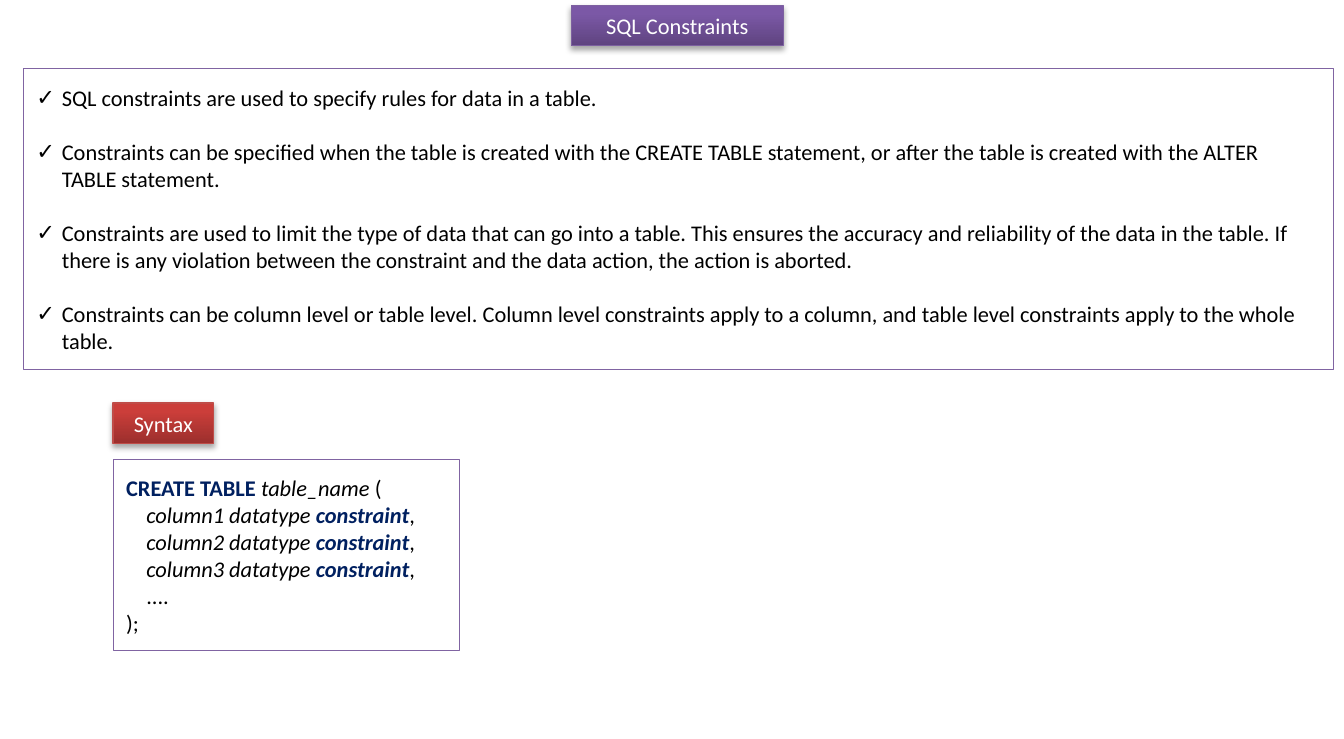
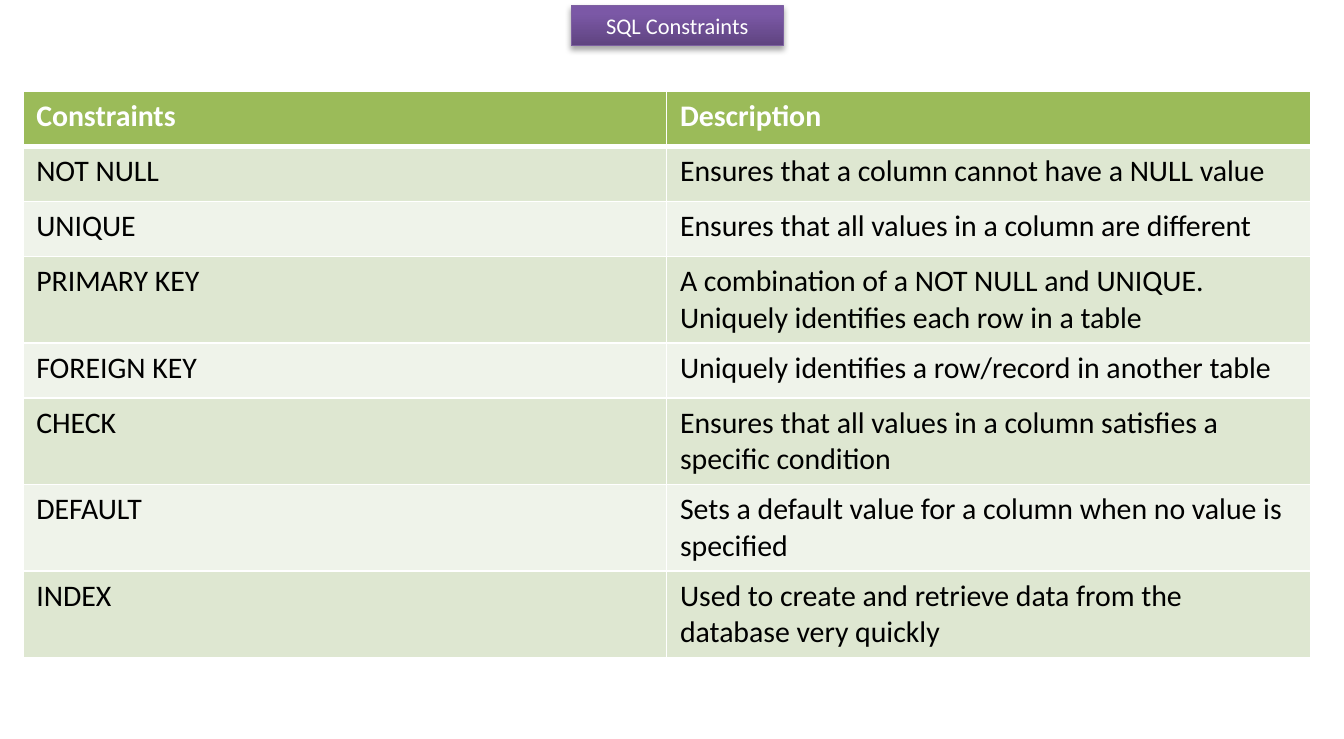
from lxml.etree import SubElement
from pptx import Presentation
from pptx.dml.color import RGBColor
from pptx.enum.shapes import MSO_SHAPE
from pptx.enum.text import MSO_ANCHOR, MSO_AUTO_SIZE, PP_ALIGN
from pptx.oxml.ns import qn
from pptx.util import Inches, Pt

WHITE = RGBColor(0xFF, 0xFF, 0xFF)
BLACK = RGBColor(0, 0, 0)
NAVY = RGBColor(0x00, 0x20, 0x60)
PURPLE = RGBColor(0x80, 0x64, 0xA2)
PURPLE_BADGE = (RGBColor(0x5F, 0x44, 0x80), RGBColor(0x7B, 0x58, 0xA6), RGBColor(0x7D, 0x60, 0xA0))
RED_BADGE = (RGBColor(0x9C, 0x2F, 0x2D), RGBColor(0xCB, 0x3E, 0x3A), RGBColor(0xBF, 0x4C, 0x48))
GREEN = RGBColor(0x9B, 0xBB, 0x59)
BANDS = (RGBColor(0xDE, 0xE7, 0xD1), RGBColor(0xEF, 0xF3, 0xEA))
FONT = "Calibri"
BODY_SIZE = 12
TABLE_SIZE = 16
ROW_HEIGHT = 0.41

TITLE = "SQL Constraints"
RULES = [
    "SQL constraints are used to specify rules for data in a table.",
    "Constraints can be specified when the table is created with the CREATE TABLE statement, "
    "or after the table is created with the ALTER TABLE statement.",
    "Constraints are used to limit the type of data that can go into a table. This ensures the "
    "accuracy and reliability of the data in the table. If there is any violation between the "
    "constraint and the data action, the action is aborted.",
    "Constraints can be column level or table level. Column level constraints apply to a column, "
    "and table level constraints apply to the whole table.",
]
KEYWORD = {"bold": True, "color": NAVY}
NAME = {"italic": True}
SYNTAX = [
    [("CREATE TABLE ", KEYWORD), ("table_name ", NAME), ("(", {})],
    *[
        [(f"    column{n} datatype ", NAME), ("constraint", KEYWORD | NAME), (",", {})]
        for n in (1, 2, 3)
    ],
    [("    ....", {})],
    [(");", {})],
]
CONSTRAINTS = [
    ("Constraints", "Description"),
    ("NOT NULL", "Ensures that a column cannot have a NULL value"),
    ("UNIQUE", "Ensures that all values in a column are different"),
    ("PRIMARY KEY", "A combination of a NOT NULL and UNIQUE. Uniquely identifies each row in a table"),
    ("FOREIGN KEY", "Uniquely identifies a row/record in another table"),
    ("CHECK", "Ensures that all values in a column satisfies a specific condition"),
    ("DEFAULT", "Sets a default value for a column when no value is specified"),
    ("INDEX", "Used to create and retrieve data from the database very quickly"),
]


def add_text(p, text, size=BODY_SIZE, color=BLACK, bold=False, italic=False):
    r = p.add_run()
    r.text = text
    r.font.name = FONT
    r.font.size = Pt(size)
    r.font.color.rgb = color
    r.font.bold = bold
    r.font.italic = italic


def place(sp, x, y, w, h):
    sp.left, sp.top, sp.width, sp.height = Inches(x), Inches(y), Inches(w), Inches(h)


def set_frame(sp, anchor):
    tf = sp.text_frame
    tf.word_wrap = True
    tf.auto_size = MSO_AUTO_SIZE.NONE
    tf.vertical_anchor = anchor
    return tf


def paragraphs(tf, items):
    for i, item in enumerate(items):
        yield (tf.add_paragraph() if i else tf.paragraphs[0]), item


def format_badge(sp, text, colors):
    dark, light, edge = colors
    sp.fill.gradient()
    sp.fill.gradient_angle = 90
    for stop, color, position in zip(sp.fill.gradient_stops, (dark, light), (0, 0.8)):
        stop.color.rgb = color
        stop.position = position
    sp.line.color.rgb = edge
    sp.line.width = Pt(0.75)
    sp.shadow.inherit = False
    effects = sp.element.spPr.find(qn("a:effectLst"))
    shadow = SubElement(effects, qn("a:outerShdw"), blurRad=str(Pt(3.1)), dist=str(Pt(1.8)),
                        dir="5400000", rotWithShape="0")
    color = SubElement(shadow, qn("a:srgbClr"), val=str(BLACK))
    SubElement(color, qn("a:alpha"), val="35000")
    p = set_frame(sp, MSO_ANCHOR.TOP).paragraphs[0]
    p.alignment = PP_ALIGN.CENTER
    add_text(p, text, color=WHITE)


def format_panel(sp):
    sp.fill.solid()
    sp.fill.fore_color.rgb = WHITE
    sp.line.color.rgb = PURPLE
    sp.line.width = Pt(0.25)
    sp.shadow.inherit = False
    return set_frame(sp, MSO_ANCHOR.MIDDLE)


def add_titled_slide(prs, layout):
    s = prs.slides.add_slide(prs.slide_layouts.get_by_name(layout))
    place(s.shapes.title, 4.25, 0.04, 1.58, 0.3)
    format_badge(s.shapes.title, TITLE, PURPLE_BADGE)
    return s


def add_rules(s, x, y, w, h):
    sp = s.placeholders[1]
    place(sp, x, y, w, h)
    for p, rule in paragraphs(format_panel(sp), RULES):
        pPr = p._p.get_or_add_pPr()
        pPr.set("marL", str(Inches(0.19)))
        pPr.set("indent", str(Inches(-0.19)))
        SubElement(pPr, qn("a:buChar"), char="✓")
        p.space_before = Pt(0 if rule == RULES[0] else 14.6)
        add_text(p, rule)


def add_syntax(s, x, y, w, h):
    badge = s.shapes.add_shape(MSO_SHAPE.RECTANGLE, Inches(x), Inches(y), Inches(0.75), Inches(0.3))
    format_badge(badge, "Syntax", RED_BADGE)
    code = s.shapes.add_shape(MSO_SHAPE.RECTANGLE, Inches(x), Inches(y + 0.42), Inches(w), Inches(h - 0.42))
    for p, line in paragraphs(format_panel(code), SYNTAX):
        p.alignment = PP_ALIGN.LEFT
        for text, style in line:
            add_text(p, text, **style)


def set_borders(cell, header):
    tcPr = cell._tc.get_or_add_tcPr()
    for side in "LRTB":
        width = 3 if header and side == "B" else 1
        ln = SubElement(tcPr, qn(f"a:ln{side}"), w=str(Pt(width)))
        SubElement(SubElement(ln, qn("a:solidFill")), qn("a:srgbClr"), val=str(WHITE))


def add_constraints(s, x, y, w):
    rows, cols = len(CONSTRAINTS), len(CONSTRAINTS[0])
    table = s.shapes.add_table(rows, cols, Inches(x), Inches(y), Inches(w), Inches(ROW_HEIGHT * rows)).table
    for i, row in enumerate(CONSTRAINTS):
        header = i == 0
        for j, text in enumerate(row):
            cell = table.cell(i, j)
            set_borders(cell, header)
            cell.fill.solid()
            cell.fill.fore_color.rgb = GREEN if header else BANDS[(i - 1) % 2]
            add_text(cell.text_frame.paragraphs[0], text, size=TABLE_SIZE,
                     color=WHITE if header else BLACK, bold=header)


def main():
    prs = Presentation()
    prs.slide_width, prs.slide_height = Inches(10), Inches(5.5)
    s = add_titled_slide(prs, "Title and Content")
    add_rules(s, 0.17, 0.51, 9.75, 2.24)
    add_syntax(s, 0.84, 3, 2.58, 1.84)
    s = add_titled_slide(prs, "Title Only")
    add_constraints(s, 0.17, 0.68, 9.58)
    prs.save("out.pptx")


if __name__ == "__main__":
    main()
